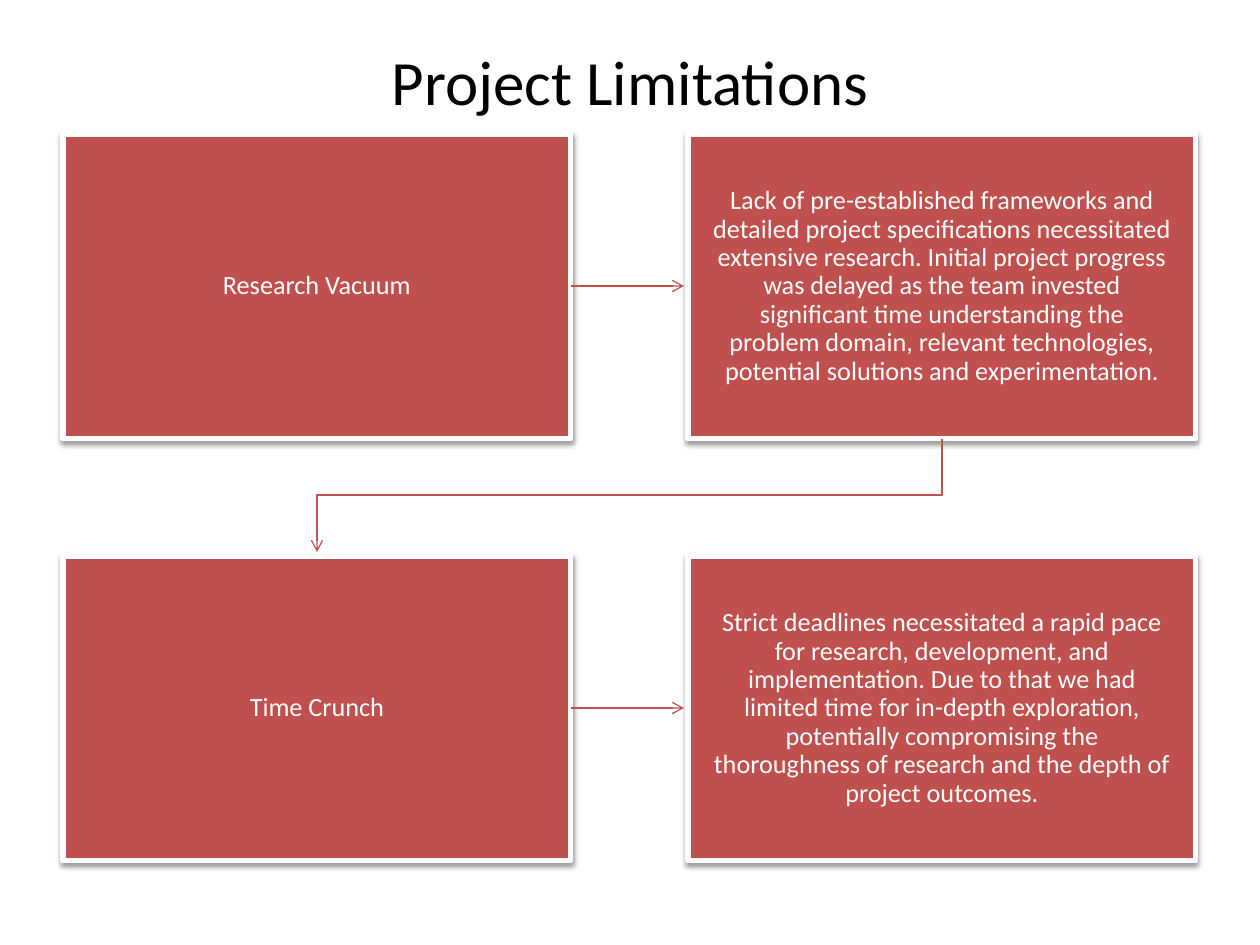
from pptx import Presentation, util as u
from pptx.dml.color import RGBColor
from pptx.enum import shapes, text
from pptx.oxml import parse_xml
from pptx.oxml.ns import nsdecls, qn

PX = 914400 // 126
COLORS = {"title": "000000", "card": "C0504D", "white": "FFFFFF", "shadow": "000000"}
FONT = "Calibri"
CARD_W, CARD_H = 508, 305
PITCH_X, PITCH_Y = 625, 422
TIP_GAP = 4
ROWS = [
    ("Research Vacuum",
     "Lack of pre-established frameworks and detailed project specifications necessitated "
     "extensive research. Initial project progress was delayed as the team invested "
     "significant time understanding the problem domain, relevant technologies, "
     "potential solutions and experimentation."),
    ("Time Crunch",
     "Strict deadlines necessitated a rapid pace for research, development, and "
     "implementation. Due to that we had limited time for in-depth exploration, "
     "potentially compromising the thoroughness of research and the depth of "
     "project outcomes."),
]


def rgb(name):
    """Return the named palette colour."""
    return RGBColor.from_string(COLORS[name])


def px(*lengths):
    """Turn pixel lengths into EMU."""
    return [u.Emu(n * PX) for n in lengths]


def write(tf, words, size, color):
    """Write one centred run in a text frame."""
    tf.word_wrap = True
    tf.vertical_anchor = text.MSO_ANCHOR.MIDDLE
    p = tf.paragraphs[0]
    p.alignment = text.PP_ALIGN.CENTER
    r = p.add_run()
    r.text = words
    r.font.name, r.font.size = FONT, u.Pt(size)
    r.font.color.rgb = rgb(color)
    return p


def add_title(s, words, box):
    """Place and fill the title."""
    sp = s.shapes.title
    sp.left, sp.top, sp.width, sp.height = px(*box)
    write(sp.text_frame, words, 36, "title")


def add_card(s, words, x, y):
    """Add a bordered card with a soft shadow and centred text."""
    sp = s.shapes.add_shape(shapes.MSO_SHAPE.RECTANGLE, *px(x, y, CARD_W, CARD_H))
    sp.fill.solid()
    sp.fill.fore_color.rgb = rgb("card")
    sp.line.color.rgb = rgb("white")
    sp.line.width = u.Pt(3)
    sp.shadow.inherit = False
    sp._element.spPr.find(qn("a:effectLst")).append(parse_xml(
        f'<a:outerShdw {nsdecls("a")} blurRad="40000" dist="20000" dir="5400000" '
        f'rotWithShape="0"><a:srgbClr val="{COLORS["shadow"]}">'
        '<a:alpha val="38000"/></a:srgbClr></a:outerShdw>'))
    tf = sp.text_frame
    tf.margin_left, tf.margin_right, tf.margin_top, tf.margin_bottom = px(25, 25, 26, 26)
    write(tf, words, 15, "white").line_spacing = 0.9


def style_arrow(sp):
    """Give a line its colour, width and open arrowhead."""
    sp.line.color.rgb = rgb("card")
    sp.line.width = u.Pt(0.75)
    spPr = sp._element.spPr
    spPr.find(qn("a:ln")).append(parse_xml(f'<a:tailEnd {nsdecls("a")} type="arrow"/>'))
    if spPr.find(qn("a:effectLst")) is None:
        spPr.append(parse_xml(f'<a:effectLst {nsdecls("a")}/>'))


def add_row(s, words, x, y):
    """Add a cause card, its effect card and the arrow between them."""
    for i, part in enumerate(words):
        add_card(s, part, x + i * PITCH_X, y)
    mid = y + CARD_H // 2
    style_arrow(s.shapes.add_connector(
        shapes.MSO_CONNECTOR.STRAIGHT,
        *px(x + CARD_W, mid, x + PITCH_X - TIP_GAP, mid)))


def add_return(s, x, y):
    """Add the bent arrow from a row's effect down to the next row's cause."""
    left, top, end = x + CARD_W // 2, y + CARD_H, y + PITCH_Y - TIP_GAP
    right, bend = left + PITCH_X, (top + end) // 2
    fb = s.shapes.build_freeform(right, top, scale=PX)
    fb.add_line_segments([(right, bend), (left, bend), (left, end)], close=False)
    sp = fb.convert_to_shape()
    sp.fill.background()
    sp.shadow.inherit = False
    style_arrow(sp)


def add_flow(s, x, y):
    """Add all rows and the arrows that join them."""
    for i, words in enumerate(ROWS):
        top = y + i * PITCH_Y
        add_row(s, words, x, top)
        if i < len(ROWS) - 1:
            add_return(s, x, top)


def main():
    """Build and save the slide."""
    prs = Presentation()
    prs.slide_width, prs.slide_height = px(1260, 945)
    s = prs.slides.add_slide(prs.slide_layouts[5])
    add_title(s, "Project Limitations", (63, 38, 1134, 84))
    add_flow(s, 63, 134)
    prs.save("out.pptx")


if __name__ == "__main__":
    main()
